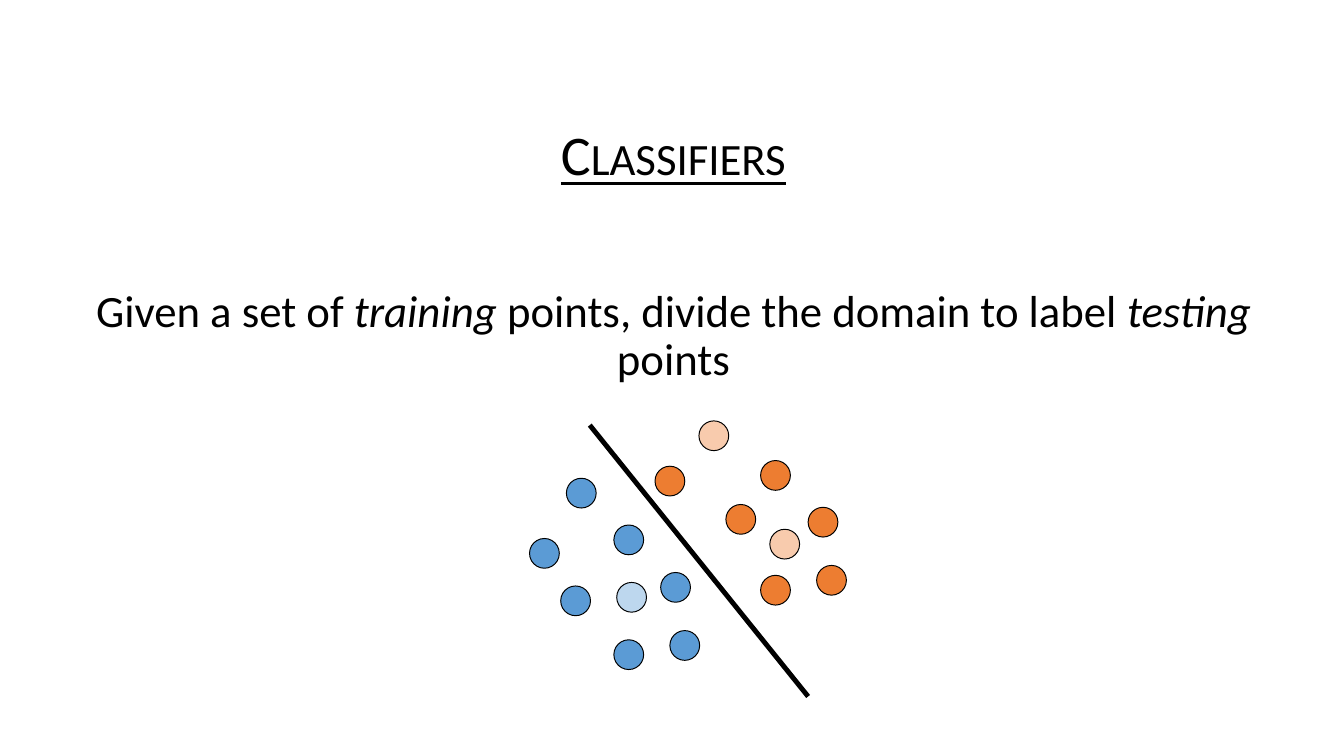
"""Build the slide on classifiers: a definition above two separated classes of points."""
from pptx import Presentation
from pptx.dml.color import RGBColor
from pptx.enum.shapes import MSO_CONNECTOR as Connector, MSO_SHAPE as Shape
from pptx.enum.text import MSO_ANCHOR as Anchor, PP_ALIGN as Align
from pptx.oxml.ns import qn
from pptx.util import Inches, Pt


def color(hex_value):
    return RGBColor.from_string(hex_value)


def add_run(paragraph, text, **formats):
    run = paragraph.add_run()
    run.text = text
    run.font.color.rgb = color("000000")
    for name, value in {"name": "Calibri", **formats}.items():
        setattr(run.font, name, value)
    return run


deck = Presentation()
deck.slide_width, deck.slide_height = Inches(18.96), Inches(10.67)
slide = deck.slides.add_slide(deck.slide_layouts[6])

definition = slide.shapes.add_textbox(Inches(1.04), Inches(1.8), Inches(16.92), Inches(3.8)).text_frame
frame_format = {"word_wrap": True, "vertical_anchor": Anchor.TOP, "margin_top": 0, "margin_bottom": 0}
for name, value in frame_format.items():
    setattr(definition, name, value)

heading = definition.paragraphs[0]
statement = definition.add_paragraph()
for paragraph in (heading, statement):
    paragraph.alignment = Align.CENTER
    paragraph.line_spacing = 0.9
statement.space_before = Pt(102)

title = add_run(heading, "Classifiers", size=Pt(56.9), underline=True)
title.font._element.set("cap", "small")

phrases = [
    ("Given a set of ", False),
    ("training ", True),
    ("points, divide the domain to label ", False),
    ("testing", True),
    (" points", False),
]
for phrase, emphasized in phrases:
    add_run(statement, phrase, size=Pt(45.5), italic=emphasized)

boundary = slide.shapes.add_connector(
    Connector.STRAIGHT, Inches(11.4), Inches(9.83), Inches(8.32), Inches(6)
)
boundary.line.color.rgb = color("000000")
boundary.line.width = Pt(5)
boundary._element.spPr.append(boundary._element.makeelement(qn("a:effectLst"), {}))

point_size = Inches(0.42)
point_sets = {
    "5B9BD5": [(7.99, 6.75), (9.45, 8.9), (7.91, 8.27), (8.66, 7.41),
               (7.47, 7.6), (8.66, 9.03), (9.32, 8.08)],
    "ED7D31": [(9.24, 6.58), (10.24, 7.12), (11.52, 7.98), (10.73, 6.5),
               (10.73, 8.12), (11.4, 7.16)],
    "F8CBAD": [(10.86, 7.47), (9.86, 5.94)],
    "BDD7EE": [(8.7, 8.22)],
}
for class_color, positions in point_sets.items():
    for left, top in positions:
        point = slide.shapes.add_shape(Shape.OVAL, Inches(left), Inches(top), point_size, point_size)
        point.shadow.inherit = False
        point.fill.solid()
        point.fill.fore_color.rgb = color(class_color)
        point.line.color.rgb = color("000000")
        point.line.width = Pt(1)

deck.save("out.pptx")
